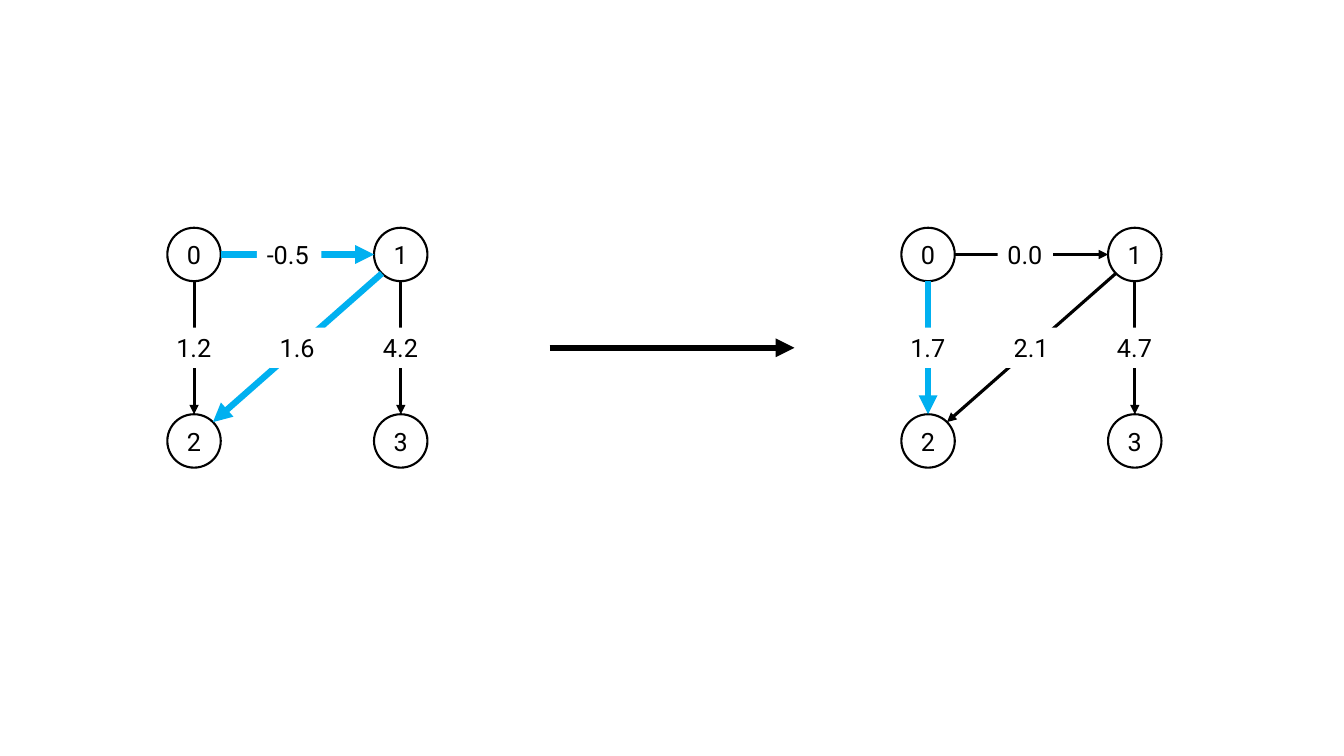
"""Draw a weighted graph before and after its edge weights are updated."""
import math

import pptx
import pptx.dml.color
import pptx.enum.shapes
import pptx.enum.text
import pptx.oxml
import pptx.oxml.ns
import pptx.util

COLORS = {"ink": "000000", "paper": "FFFFFF", "path": "00B0F0"}
FONT = "Roboto"
TEXT_SIZE = 18
THIN, THICK = 2.25, 4.5

# Node name: (column, row)
NODES = {"0": (0, 0), "1": (1, 0), "2": (0, 1), "3": (1, 1)}
# Start node, end node, weight, on the highlighted path, label position along the edge
GRAPHS = [
    {"left": 1.925, "edges": [("0", "2", "1.2", False, 0.5), ("0", "1", "-0.5", True, 0.46),
                              ("1", "2", "1.6", True, 0.5), ("1", "3", "4.2", False, 0.5)]},
    {"left": 9.205, "edges": [("0", "2", "1.7", True, 0.5), ("0", "1", "0.0", False, 0.47),
                              ("1", "2", "2.1", False, 0.5), ("1", "3", "4.7", False, 0.5)]},
]
TOP = 2.525
COLUMN_STEP, ROW_STEP = 2.05, 1.85
DIAMETER = 0.53
LABEL_HEIGHT = 0.4
LABEL_WIDTHS = {3: 0.55, 4: 0.64}
UPDATE_ARROW = ((5.45, 3.45), (7.88, 3.45))


def inches(*lengths):
    return [pptx.util.Inches(length) for length in lengths]


def rgb(name):
    return pptx.dml.color.RGBColor.from_string(COLORS[name])


def set_text(shape, text):
    shape.text_frame.text = text
    font = shape.text_frame.paragraphs[0].runs[0].font
    font.name, font.size = FONT, pptx.util.Pt(TEXT_SIZE)
    font.color.rgb = rgb("ink")


def add_arrow(shapes, start, end, color, width):
    arrow = shapes.add_connector(
        pptx.enum.shapes.MSO_CONNECTOR.STRAIGHT, *inches(*start, *end))
    arrow.line.color.rgb = rgb(color)
    arrow.line.width = pptx.util.Pt(width)
    head = pptx.oxml.parse_xml(
        f'<a:tailEnd {pptx.oxml.ns.nsdecls("a")} type="triangle"/>')
    arrow.line._get_or_add_ln().append(head)
    arrow._element.spPr.append(
        pptx.oxml.parse_xml(f'<a:effectLst {pptx.oxml.ns.nsdecls("a")}/>'))


def add_weight(shapes, center, weight):
    width = LABEL_WIDTHS[len(weight)]
    label = shapes.add_textbox(*inches(
        center[0] - width / 2, center[1] - LABEL_HEIGHT / 2, width, LABEL_HEIGHT))
    label.fill.solid()
    label.fill.fore_color.rgb = rgb("paper")
    label.text_frame.word_wrap = False
    label.text_frame.auto_size = pptx.enum.text.MSO_AUTO_SIZE.SHAPE_TO_FIT_TEXT
    set_text(label, weight)


def add_node(shapes, center, name):
    node = shapes.add_shape(
        pptx.enum.shapes.MSO_SHAPE.OVAL,
        *inches(*(c - DIAMETER / 2 for c in center), DIAMETER, DIAMETER))
    node.shadow.inherit = False
    node.fill.solid()
    node.fill.fore_color.rgb = rgb("paper")
    node.line.color.rgb = rgb("ink")
    node.line.width = pptx.util.Pt(1.5)
    node.text_frame.vertical_anchor = pptx.enum.text.MSO_ANCHOR.MIDDLE
    set_text(node, name)
    node.text_frame.paragraphs[0].alignment = pptx.enum.text.PP_ALIGN.CENTER


def add_edge(shapes, start, end, weight, on_path, share):
    steps = [(b > a) - (b < a) for a, b in zip(start, end)]
    offsets = [DIAMETER / 2 * step / math.hypot(*steps) for step in steps]
    add_arrow(shapes,
              [a + offset for a, offset in zip(start, offsets)],
              [b - offset for b, offset in zip(end, offsets)],
              "path" if on_path else "ink", THICK if on_path else THIN)
    add_weight(shapes, [a + (b - a) * share for a, b in zip(start, end)], weight)


def add_graph(slide, graph):
    shapes = slide.shapes.add_group_shape().shapes
    centers = {name: (graph["left"] + column * COLUMN_STEP, TOP + row * ROW_STEP)
               for name, (column, row) in NODES.items()}
    for name, center in centers.items():
        add_node(shapes, center, name)
    for start, end, weight, on_path, share in graph["edges"]:
        add_edge(shapes, centers[start], centers[end], weight, on_path, share)


def main():
    deck = pptx.Presentation()
    deck.slide_width, deck.slide_height = inches(13.33, 7.5)
    slide = deck.slides.add_slide(deck.slide_layouts[6])
    for graph in GRAPHS:
        add_graph(slide, graph)
    add_arrow(slide.shapes, *UPDATE_ARROW, "ink", THICK)
    deck.save("out.pptx")


if __name__ == "__main__":
    main()
